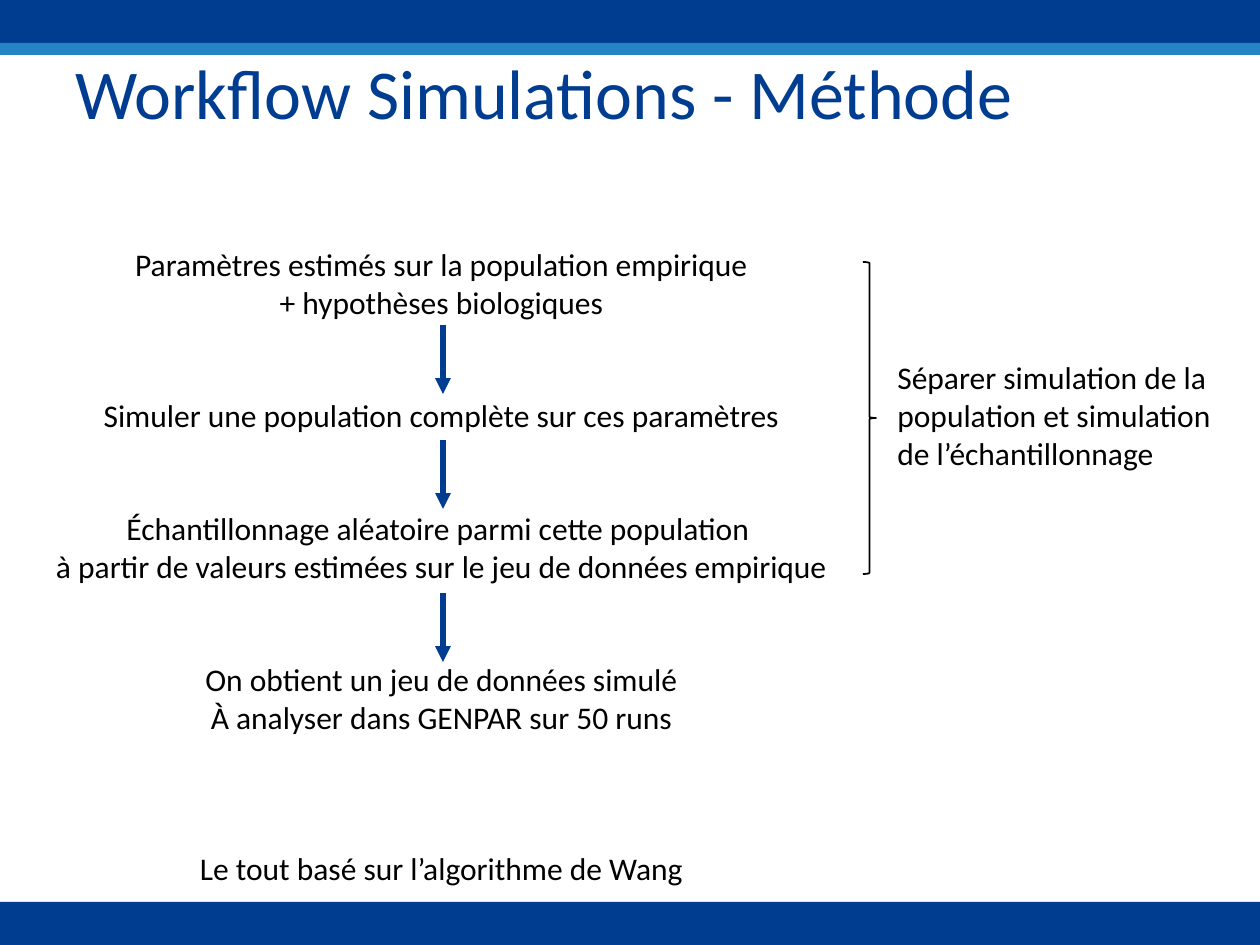
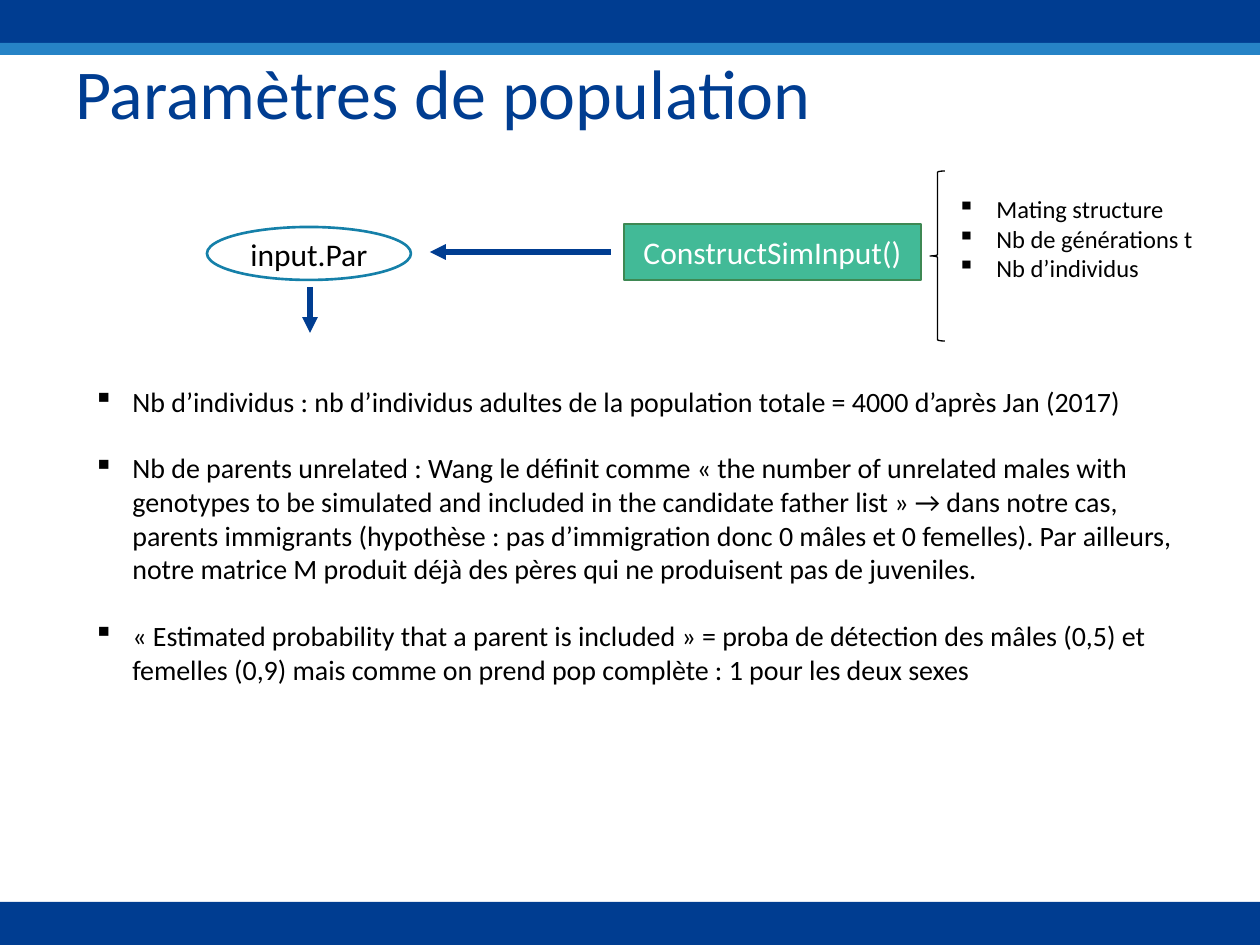
from lxml.etree import SubElement
from pptx import Presentation
from pptx.dml.color import RGBColor
from pptx.enum.shapes import MSO_CONNECTOR, MSO_SHAPE
from pptx.enum.text import MSO_ANCHOR, PP_ALIGN
from pptx.oxml.ns import qn
from pptx.util import Pt

PX = 914400 / 126
FONT = "Calibri"
COLORS = {
    "navy": "003D91",
    "sky": "2683C6",
    "teal": "1580A9",
    "mint": "42BA97",
    "green": "3E8853",
    "white": "FFFFFF",
    "black": "000000",
}


def draw_shape(page, kind, area, fill=None, line=None, width=1):
    shape = page.shapes.add_shape(kind, *[round(length * PX) for length in area])
    shape.shadow.inherit = False
    if fill:
        shape.fill.solid()
        shape.fill.fore_color.rgb = RGBColor.from_string(COLORS[fill])
    else:
        shape.fill.background()
    if line:
        shape.line.color.rgb = RGBColor.from_string(COLORS[line])
        shape.line.width = Pt(width)
    else:
        shape.line.fill.background()
    return shape


def write_text(box, lines, size, color="black", align=PP_ALIGN.LEFT,
               anchor=MSO_ANCHOR.TOP, gaps={}, bullet=None):
    frame = box.text_frame
    frame.word_wrap = True
    frame.vertical_anchor = anchor
    frame.text = "\n".join(lines)
    for index, para in enumerate(frame.paragraphs):
        para.alignment = align
        para.space_before = Pt(gaps.get(index, 0))
        for span in para.runs:
            span.font.name = FONT
            span.font.size = Pt(size)
            span.font.color.rgb = RGBColor.from_string(COLORS[color])
        if bullet:
            properties = para._p.get_or_add_pPr()
            properties.set("marL", str(round(39 * PX)))
            properties.set("indent", str(round(-39 * PX)))
            SubElement(properties, qn("a:buChar"), char=bullet)


deck = Presentation()
deck.slide_width = round(1260 * PX)
deck.slide_height = round(945 * PX)

bands = [(0, 43, "navy"), (43, 12, "sky"), (902, 43, "navy")]
titles = ["Workflow Simulations - Méthode", "Paramètres de population"]
for title in titles:
    page = deck.slides.add_slide(deck.slide_layouts[6])
    for top, height, color in bands:
        draw_shape(page, MSO_SHAPE.RECTANGLE, (0, top, 1260, height), color)
    box = page.shapes.add_textbox(*[round(length * PX) for length in (63, 18, 1134, 147)])
    write_text(box, [title], 40, "navy", anchor=MSO_ANCHOR.MIDDLE)
workflow, parameters = deck.slides

steps = [
    "Paramètres estimés sur la population empirique",
    "+ hypothèses biologiques",
    "Simuler une population complète sur ces paramètres",
    "Échantillonnage aléatoire parmi cette population ",
    "à partir de valeurs estimées sur le jeu de données empirique",
    "On obtient un jeu de données simulé",
    "À analyser dans GENPAR sur 50 runs",
    "Le tout basé sur l’algorithme de Wang",
]
remark = ["Séparer simulation de la population et simulation de l’échantillonnage"]
definitions = [
    "Nb d’individus : nb d’individus adultes de la population totale = 4000 d’après Jan (2017)",
    "Nb de parents unrelated : Wang le définit comme « the number of unrelated males with "
    "genotypes to be simulated and included in the candidate father list » → dans notre cas, "
    "parents immigrants (hypothèse : pas d’immigration donc 0 mâles et 0 femelles). Par ailleurs, "
    "notre matrice M produit déjà des pères qui ne produisent pas de juveniles.",
    "« Estimated probability that a parent is included » = proba de détection des mâles (0,5) et "
    "femelles (0,9) mais comme on prend pop complète : 1 pour les deux sexes",
]
inputs = ["Mating structure", "Nb de générations t", "Nb d’individus"]

step_gaps = {2: 43, 3: 43, 5: 43, 7: 65}
definition_gaps = {1: 19, 2: 19}
texts = [
    (workflow, (28, 239, 827, 662), steps, 18, PP_ALIGN.CENTER, step_gaps, None),
    (workflow, (885, 352, 344, 127), remark, 18, PP_ALIGN.LEFT, {}, None),
    (parameters, (81, 378, 1116, 352), definitions, 16, PP_ALIGN.LEFT, definition_gaps, "▪"),
    (parameters, (945, 188, 315, 102), inputs, 14, PP_ALIGN.LEFT, {}, "▪"),
]
for page, area, lines, size, align, gaps, bullet in texts:
    box = page.shapes.add_textbox(*[round(length * PX) for length in area])
    write_text(box, lines, size, align=align, gaps=gaps, bullet=bullet)

nodes = [
    (MSO_SHAPE.OVAL, (207, 227, 204, 53), "white", "teal", "input.Par", "black"),
    (MSO_SHAPE.RECTANGLE, (624, 224, 297, 56), "mint", "green", "ConstructSimInput()", "white"),
]
for kind, area, fill, line, label, color in nodes:
    node = draw_shape(parameters, kind, area, fill, line, 1.5)
    write_text(node, [label], 18, color, PP_ALIGN.CENTER, MSO_ANCHOR.MIDDLE)

draw_shape(workflow, MSO_SHAPE.RIGHT_BRACE, (863, 262, 13, 312), line="black")
draw_shape(parameters, MSO_SHAPE.LEFT_BRACE, (930, 171, 15, 170), line="black", width=0.75)

arrows = [(workflow, 443, top, 443, top + 69) for top in (325, 440, 593)]
arrows += [(parameters, 611, 252, 430, 252), (parameters, 310, 287, 310, 333)]
for page, *ends in arrows:
    arrow = page.shapes.add_connector(MSO_CONNECTOR.STRAIGHT, *[round(end * PX) for end in ends])
    arrow.line.color.rgb = RGBColor.from_string(COLORS["navy"])
    arrow.line.width = Pt(3)
    SubElement(arrow.line._get_or_add_ln(), qn("a:tailEnd"), type="triangle")
    SubElement(arrow._element.spPr, qn("a:effectLst"))

deck.save("out.pptx")
